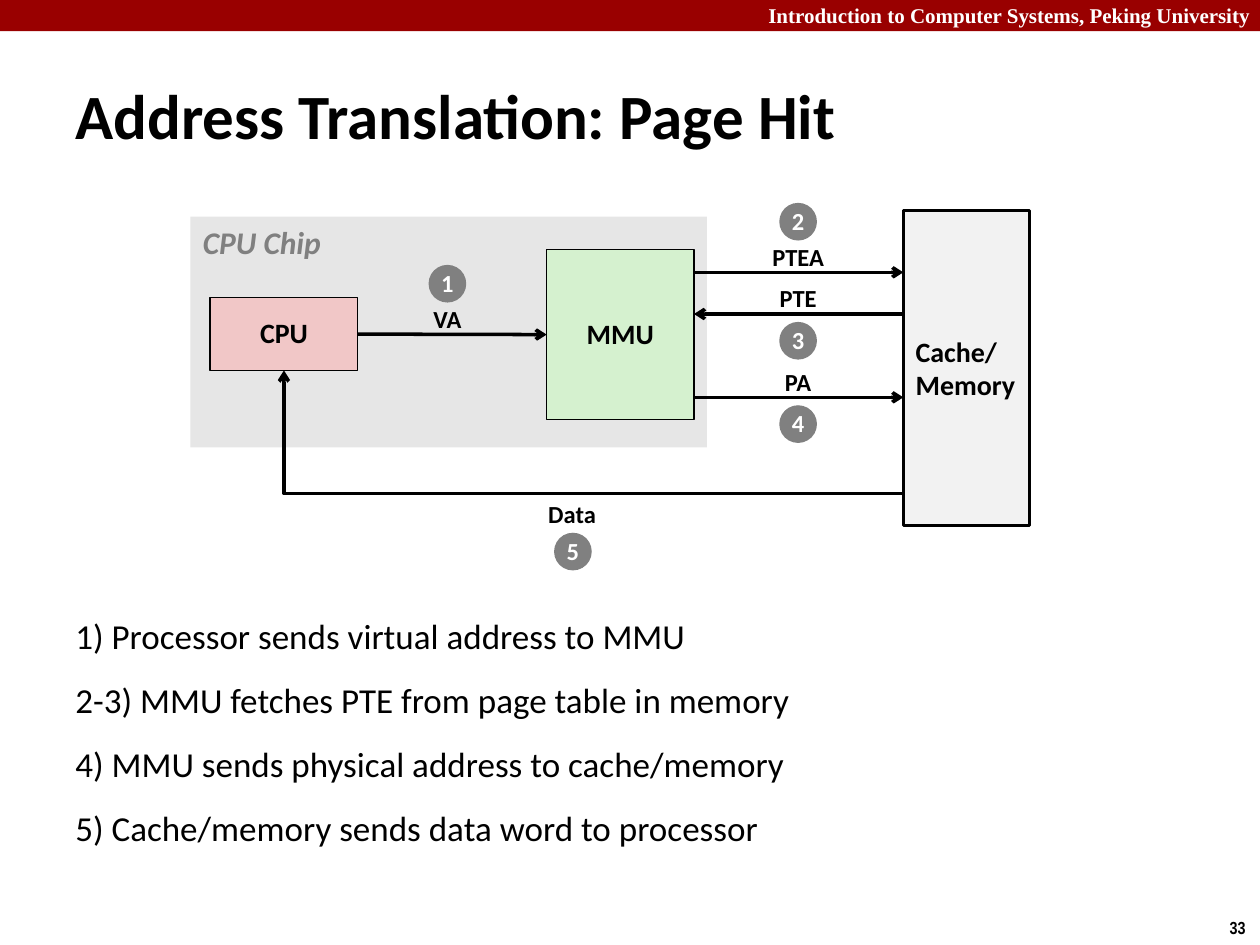
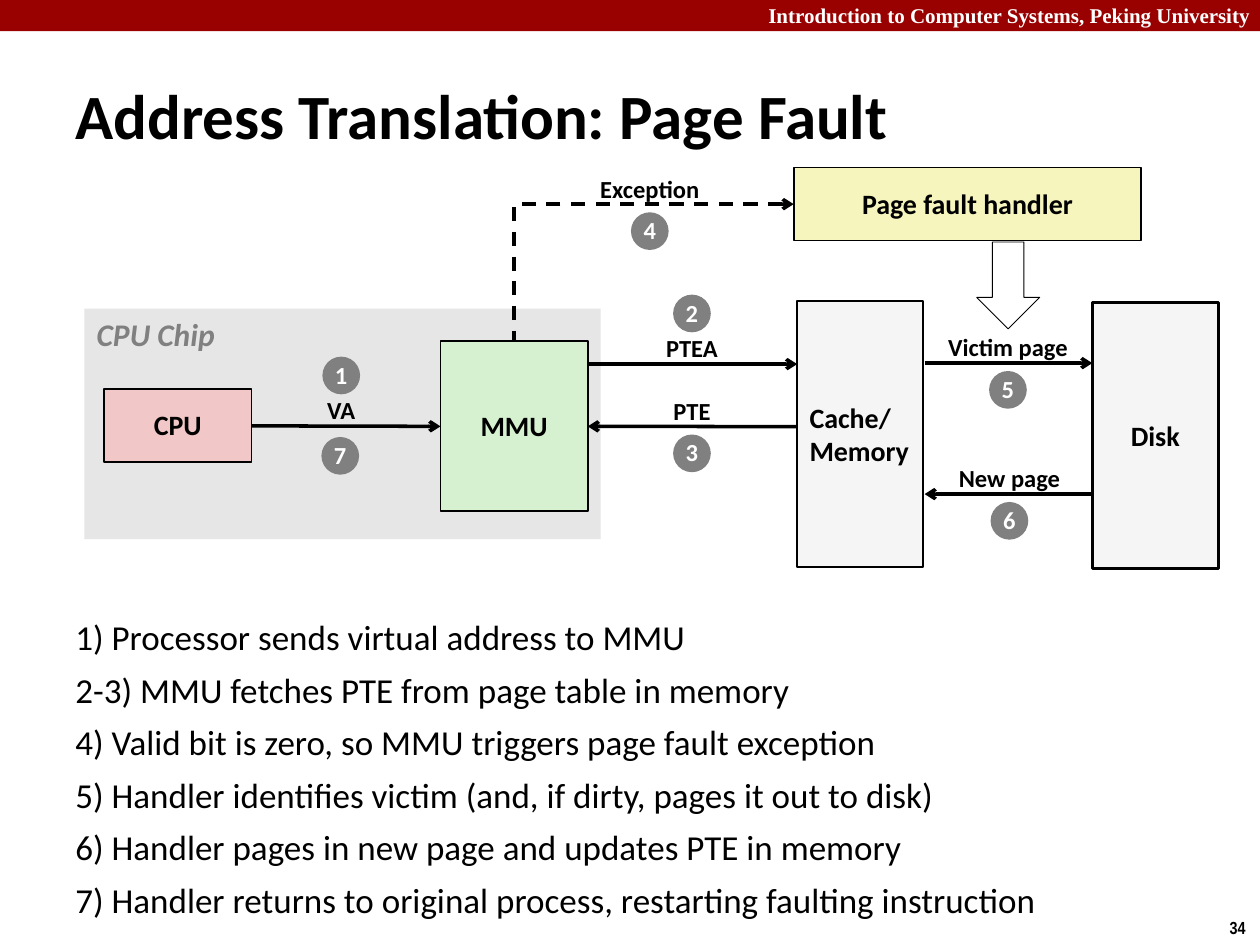
from dataclasses import dataclass

from pptx import Presentation
from pptx.dml.color import RGBColor
from pptx.enum.dml import MSO_LINE_DASH_STYLE as DASH
from pptx.enum.shapes import MSO_CONNECTOR as LINK
from pptx.enum.shapes import MSO_SHAPE as SHAPE
from pptx.enum.text import MSO_ANCHOR as ANCHOR
from pptx.enum.text import MSO_AUTO_SIZE as AUTOSIZE
from pptx.enum.text import PP_ALIGN as ALIGN
from pptx.oxml.ns import qn
from pptx.oxml.xmlchemy import OxmlElement
from pptx.util import Cm, Pt


@dataclass(frozen=True)
class Theme:
    # Colours
    band: str = "990000"
    ink: str = "000000"
    paper: str = "FFFFFF"
    chip: str = "E6E6E6"
    cpu: str = "F1C7C7"
    mmu: str = "D5F1CF"
    handler: str = "F6F5BD"
    memory_hit: str = "F2F2F2"
    memory_fault: str = "F5F5F5"
    grey: str = "808080"
    # Fonts and type sizes
    font: str = "Calibri"
    header_font: str = "Times New Roman"
    number_font: str = "Arial Narrow"
    title: int = 36
    steps: int = 20
    chip_name: int = 18
    box: int = 16
    label: int = 14
    header: int = 12
    number: int = 10


THEME = Theme()
BADGE = 0.76
TOP, LEFT, BOTTOM, RIGHT = range(4)


def rgb(colour):
    return RGBColor.from_string(colour)


# Text
def write(frame, text, size, colour=THEME.ink, font=THEME.font, bold=True,
          italic=False, align=ALIGN.LEFT, spacing=None, gap=0):
    frame.text = text
    for index, paragraph in enumerate(frame.paragraphs):
        paragraph.alignment = align
        paragraph.line_spacing = spacing
        if gap and index:
            paragraph.space_before = Pt(gap)
        for run in paragraph.runs:
            run.font.name = font
            run.font.size = Pt(size)
            run.font.bold = bold
            run.font.italic = italic
            run.font.color.rgb = rgb(colour)


def text_box(slide, text, x, y, width, height, size, wrap=True,
             grow=False, anchor=ANCHOR.TOP, **style):
    frame = slide.shapes.add_textbox(Cm(x), Cm(y), Cm(width), Cm(height)).text_frame
    write(frame, text, size, **style)
    frame.word_wrap = wrap
    frame.vertical_anchor = anchor
    frame.auto_size = AUTOSIZE.SHAPE_TO_FIT_TEXT if grow else AUTOSIZE.NONE


# Boxes and badges
def block(slide, x, y, width, height, fill=None, outline=None, text="",
          kind=SHAPE.RECTANGLE, size=THEME.box, align=ALIGN.CENTER, **style):
    shape = slide.shapes.add_shape(kind, Cm(x), Cm(y), Cm(width), Cm(height))
    shape.shadow.inherit = False
    if fill:
        shape.fill.solid()
        shape.fill.fore_color.rgb = rgb(fill)
    else:
        shape.fill.background()
    if outline:
        shape.line.color.rgb = rgb(THEME.ink)
        shape.line.width = Pt(outline)
    else:
        shape.line.fill.background()
    if text:
        write(shape.text_frame, text, size, align=align, **style)
        shape.text_frame.word_wrap = False
        shape.text_frame.vertical_anchor = ANCHOR.MIDDLE
    return shape


def badge(slide, number, centre, y):
    block(slide, centre - BADGE / 2, y, BADGE, BADGE, THEME.grey, text=str(number),
          kind=SHAPE.OVAL, size=THEME.label, colour=THEME.paper, spacing=0.98)


def annotate(slide, text, width, centre, line_y, number, badge_above=False):
    """Label above a line, with its step badge over the label or under the line."""
    text_box(slide, text, centre - width / 2, line_y - 0.72, width, 0.84,
             THEME.label, wrap=False, grow=True, anchor=ANCHOR.MIDDLE,
             align=ALIGN.CENTER, spacing=0.98)
    badge(slide, number, centre, line_y + (-1.4 if badge_above else 0.16))


# Arrows
def arrow(slide, x1, y1, x2, y2, bent=False, dashed=False, tip="a:tailEnd"):
    link = slide.shapes.add_connector(LINK.ELBOW if bent else LINK.STRAIGHT,
                                      Cm(x1), Cm(y1), Cm(x2), Cm(y2))
    link.line.color.rgb = rgb(THEME.ink)
    link.line.width = Pt(2)
    if dashed:
        link.line.dash_style = DASH.DASH
    properties = link._element.spPr
    if bent:  # one corner: across first, then up or down
        properties.find(qn("a:prstGeom")).set("prst", "bentConnector2")
    end = OxmlElement(tip)
    end.set("type", "arrow")
    properties.find(qn("a:ln")).append(end)
    properties.append(OxmlElement("a:effectLst"))
    return link


# Parts both slides share
def start_slide(deck, title, number):
    slide = deck.slides.add_slide(deck.slide_layouts[6])
    block(slide, 0, 0, 25.4, 0.63, THEME.band)
    text_box(slide, "Introduction to Computer Systems, Peking University",
             15.24, -0.08, 10.34, 0.76, THEME.header, grow=True,
             colour=THEME.paper, font=THEME.header_font)
    text_box(slide, str(number), 24.54, 18.36, 0.86, 0.69, THEME.number,
             wrap=False, grow=True, font=THEME.number_font)
    text_box(slide, title, 1.27, 1.22, 24.2, 2.18, THEME.title, anchor=ANCHOR.MIDDLE)
    return slide


def list_steps(slide, steps, y, width, spacing=None):
    text_box(slide, "\n".join(steps), 1.27, y, width, 5.72, THEME.steps,
             bold=False, spacing=spacing, gap=12.5)


def draw_translation(slide, x, y, pte_y, memory_y, memory_height, memory_fill):
    """CPU chip with its corner at x, y, the memory, and the steps 1 to 3."""
    mmu_right, memory_x, lane = x + 10.15, x + 14.37, x + 12.25
    block(slide, x, y, 10.41, 4.65, THEME.chip)
    text_box(slide, "CPU Chip", x, y, 2.95, 1.02, THEME.chip_name,
             wrap=False, grow=True, colour=THEME.grey, italic=True)
    cpu = block(slide, x + 0.4, y + 1.63, 2.97, 1.47, THEME.cpu, 1, "CPU", spacing=0.98)
    mmu = block(slide, x + 7.18, y + 0.66, 2.97, 3.43, THEME.mmu, 1, "MMU", spacing=0.98)
    block(slide, memory_x, memory_y, 2.54, memory_height, memory_fill, 1.5,
          "Cache/\nMemory", align=ALIGN.LEFT)

    va = arrow(slide, x + 3.37, y + 2.37, x + 7.18, y + 2.37)
    va.begin_connect(cpu, RIGHT)
    va.end_connect(mmu, LEFT)
    annotate(slide, "VA", 1.07, x + 5.18, y + 2.37, 1, badge_above=True)
    arrow(slide, mmu_right, y + 1.12, memory_x, y + 1.12)
    annotate(slide, "PTEA", 1.55, lane, y + 1.12, 2, badge_above=True)
    pte = arrow(slide, memory_x, y + pte_y, mmu_right, y + pte_y)
    annotate(slide, "PTE", 1.27, lane, y + pte_y, 3)
    return cpu, mmu, pte


# Slides
def page_hit(deck):
    slide = start_slide(deck, "Address Translation: Page Hit", 33)
    cpu, _, _ = draw_translation(slide, 3.84, 4.37, 1.96, 4.24, 6.35, THEME.memory_hit)

    arrow(slide, 13.99, 8.01, 18.21, 8.01)
    annotate(slide, "PA", 1.04, 16.09, 8.01, 4)
    data = arrow(slide, 18.21, 9.95, 5.72, 7.48, bent=True)
    data.end_connect(cpu, BOTTOM)
    text_box(slide, "Data", 10.8, 9.95, 1.47, 0.84, THEME.label, wrap=False, grow=True,
             anchor=ANCHOR.MIDDLE, align=ALIGN.CENTER, spacing=0.98)
    badge(slide, 5, 11.55, 10.74)

    list_steps(slide, [
        "1) Processor sends virtual address to MMU",
        "2-3) MMU fetches PTE from page table in memory",
        "4) MMU sends physical address to cache/memory",
        "5) Cache/memory sends data word to processor",
    ], 12.27, 18.85)


def page_fault(deck):
    slide = start_slide(deck, "Address Translation: Page Fault", 34)
    _, mmu, pte = draw_translation(slide, 1.7, 6.22, 2.38, 6.07, 5.36, THEME.memory_fault)
    pte.end_connect(mmu, RIGHT)
    badge(slide, 7, 6.86, 8.81)

    # Exception to the handler
    handler = block(slide, 16, 3.38, 7.01, 1.47, THEME.handler, 1,
                    "Page fault handler", spacing=0.98)
    exception = arrow(slide, 16, 4.12, 10.36, 6.88, bent=True, dashed=True,
                      tip="a:headEnd")
    exception.begin_connect(handler, LEFT)
    exception.end_connect(mmu, TOP)
    annotate(slide, "Exception", 2.51, 13.1, 4.12, 4)

    # Page exchange with the disk
    block(slide, 22.02, 6.1, 2.54, 5.36, THEME.memory_fault, 1.5, "Disk")
    block(slide, 19.69, 4.88, 1.27, 1.75, outline=0.5, kind=SHAPE.DOWN_ARROW)
    arrow(slide, 18.64, 7.32, 22.02, 7.32)
    annotate(slide, "Victim page", 2.95, 20.32, 7.32, 5)
    arrow(slide, 22.02, 9.96, 18.64, 9.96)
    annotate(slide, "New page", 2.57, 20.35, 9.96, 6)

    list_steps(slide, [
        "1) Processor sends virtual address to MMU",
        "2-3) MMU fetches PTE from page table in memory",
        "4) Valid bit is zero, so MMU triggers page fault exception",
        "5) Handler identifies victim (and, if dirty, pages it out to disk)",
        "6) Handler pages in new page and updates PTE in memory",
        "7) Handler returns to original process, restarting faulting instruction",
    ], 12.5, 22.23, spacing=0.73)


def main():
    deck = Presentation()
    deck.slide_width, deck.slide_height = Cm(25.4), Cm(19.05)
    page_hit(deck)
    page_fault(deck)
    deck.save("out.pptx")


if __name__ == "__main__":
    main()
